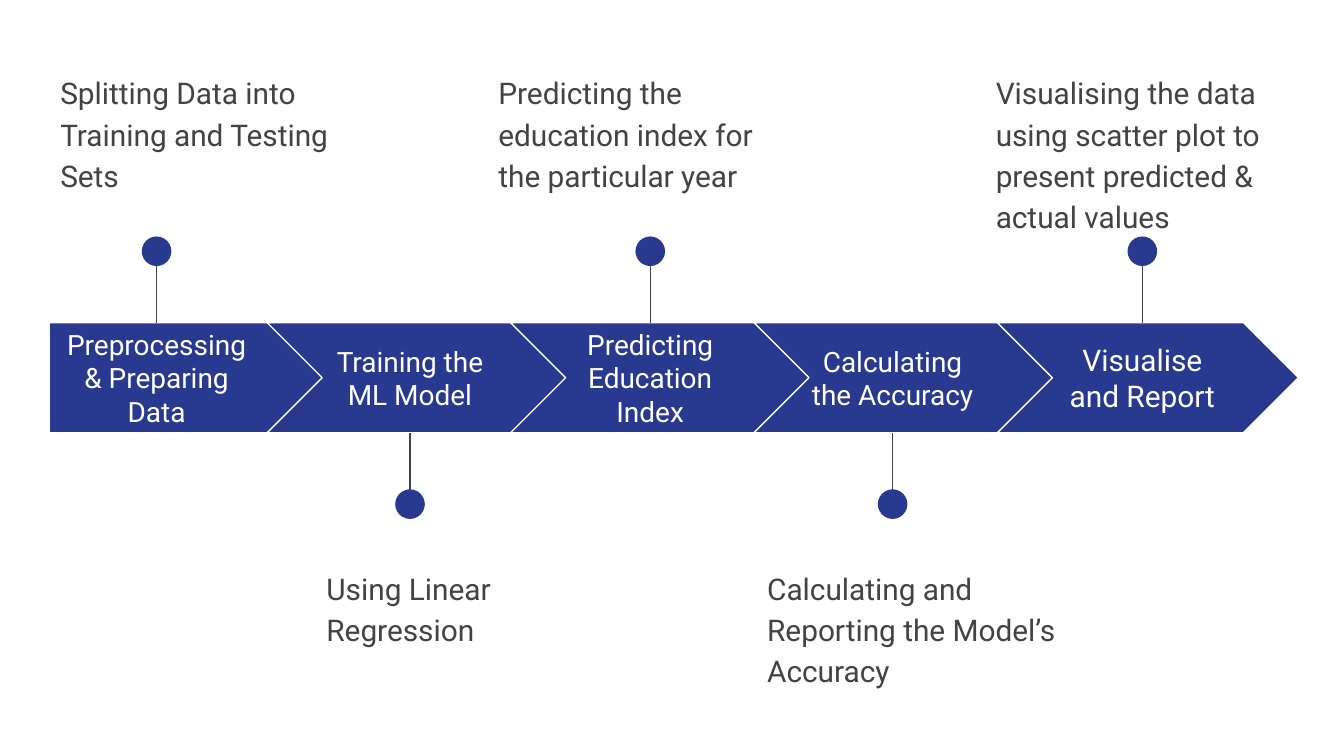
from dataclasses import dataclass

from pptx import Presentation
from pptx.dml.color import RGBColor
from pptx.enum.shapes import MSO_CONNECTOR, MSO_SHAPE
from pptx.enum.text import MSO_ANCHOR, PP_ALIGN
from pptx.oxml.ns import qn
from pptx.util import Cm, Pt
from lxml import etree

PENTAGON, CHEVRON, OVAL = MSO_SHAPE.PENTAGON, MSO_SHAPE.CHEVRON, MSO_SHAPE.OVAL
STRAIGHT = MSO_CONNECTOR.STRAIGHT
TOP, MIDDLE = MSO_ANCHOR.TOP, MSO_ANCHOR.MIDDLE
LEFT, CENTER = PP_ALIGN.LEFT, PP_ALIGN.CENTER


@dataclass(frozen=True)
class Theme:
    font: str = "Roboto"
    navy: RGBColor = RGBColor(0x2A, 0x39, 0x90)
    white: RGBColor = RGBColor(0xFF, 0xFF, 0xFF)
    grey: RGBColor = RGBColor(0x43, 0x43, 0x43)
    label_size: int = 15
    note_size: int = 16
    line_width: float = 0.75


@dataclass(frozen=True)
class Box:
    left: float
    top: float
    width: float
    height: float

    @property
    def center(self):
        return self.left + self.width / 2

    @property
    def bottom(self):
        return self.top + self.height

    def lengths(self):
        return Cm(self.left), Cm(self.top), Cm(self.width), Cm(self.height)


@dataclass(frozen=True)
class Stage:
    label: str
    label_left: float
    note: str
    note_left: float
    label_width: float = 3.66
    label_size: int = 15
    note_width: float = 6.22


THEME = Theme()
BAND = Box(0.94, 6.1, 23.6, 2.08)
STAGE_STEP = 4.6
CHEVRON_WIDTH = 5.69
PENTAGON_WIDTH = 5.21
DOT = 0.56
PIN_LENGTH = 1.63
NOTE_HEIGHT = 2.51
NOTE_TOP_ABOVE, NOTE_TOP_BELOW = 1.07, 10.44

STAGES = [
    Stage("Preprocessing & Preparing Data", 0.94,
          "Splitting Data into Training and Testing Sets", 0.89, label_width=4.04),
    Stage("Training the ML Model", 5.92,
          "Using Linear Regression", 5.92, note_width=3.66),
    Stage("Predicting Education Index", 10.46,
          "Predicting the education index for the particular year", 9.17),
    Stage("Calculating the Accuracy", 15.04,
          "Calculating and Reporting the Model’s Accuracy", 14.25),
    Stage("Visualise and Report", 19.76,
          "Visualising the data using scatter plot to present predicted & actual values",
          18.57, label_size=THEME.note_size),
]


def add_shape(page, kind, box, outlined):
    shape = page.shapes.add_shape(kind, *box.lengths())
    shape.shadow.inherit = False
    shape.fill.solid()
    shape.fill.fore_color.rgb = THEME.navy
    if outlined:
        shape.line.color.rgb = THEME.white
        shape.line.width = Pt(THEME.line_width)
    else:
        shape.line.fill.background()


def add_text(page, box, text, size, color, anchor, align):
    frame = page.shapes.add_textbox(*box.lengths()).text_frame
    frame.word_wrap = True
    frame.vertical_anchor = anchor
    frame.margin_left = frame.margin_right = Cm(0.25)
    frame.margin_top = frame.margin_bottom = Cm(0.25)
    para = frame.paragraphs[0]
    para.text = text
    para.alignment = align
    para.font.name = THEME.font
    para.font.size = Pt(size)
    para.font.color.rgb = color
    return para


def add_arrow(page, box, stage, kind):
    add_shape(page, kind, box, True)
    label = Box(stage.label_left, box.top + 0.39, stage.label_width, 1.3)
    add_text(page, label, stage.label, stage.label_size, THEME.white, MIDDLE, CENTER)
    return label.center


def add_pin(page, box, above):
    dot_top = box.top if above else box.bottom - DOT
    start, end = (dot_top + DOT / 2, box.bottom) if above else (dot_top + DOT / 2, box.top)
    stem = page.shapes.add_connector(
        STRAIGHT, Cm(box.center), Cm(start), Cm(box.center), Cm(end))
    stem.line.color.rgb = THEME.grey
    stem.line.width = Pt(THEME.line_width)
    etree.SubElement(stem._element.spPr, qn("a:effectLst"))
    add_shape(page, OVAL, Box(box.left, dot_top, DOT, DOT), False)


def add_note(page, box, text):
    para = add_text(page, box, text, THEME.note_size, THEME.grey, TOP, LEFT)
    para.line_spacing = 1.15


def add_timeline(page, band):
    for index, stage in enumerate(STAGES):
        first, above = index == 0, index % 2 == 0
        width = PENTAGON_WIDTH if first else CHEVRON_WIDTH
        right = band.left + band.width - (len(STAGES) - 1 - index) * STAGE_STEP
        arrow = Box(right - width, band.top, width, band.height)
        center = add_arrow(page, arrow, stage, PENTAGON if first else CHEVRON)
        pin_top = band.top - PIN_LENGTH if above else band.bottom
        add_pin(page, Box(center - DOT / 2, pin_top, DOT, PIN_LENGTH), above)
        note_top = NOTE_TOP_ABOVE if above else NOTE_TOP_BELOW
        add_note(page, Box(stage.note_left, note_top, stage.note_width, NOTE_HEIGHT),
                 stage.note)


def main():
    deck = Presentation()
    deck.slide_width, deck.slide_height = Cm(25.4), Cm(14.29)
    page = deck.slides.add_slide(deck.slide_layouts[6])
    add_timeline(page, BAND)
    deck.save("out.pptx")


if __name__ == "__main__":
    main()
